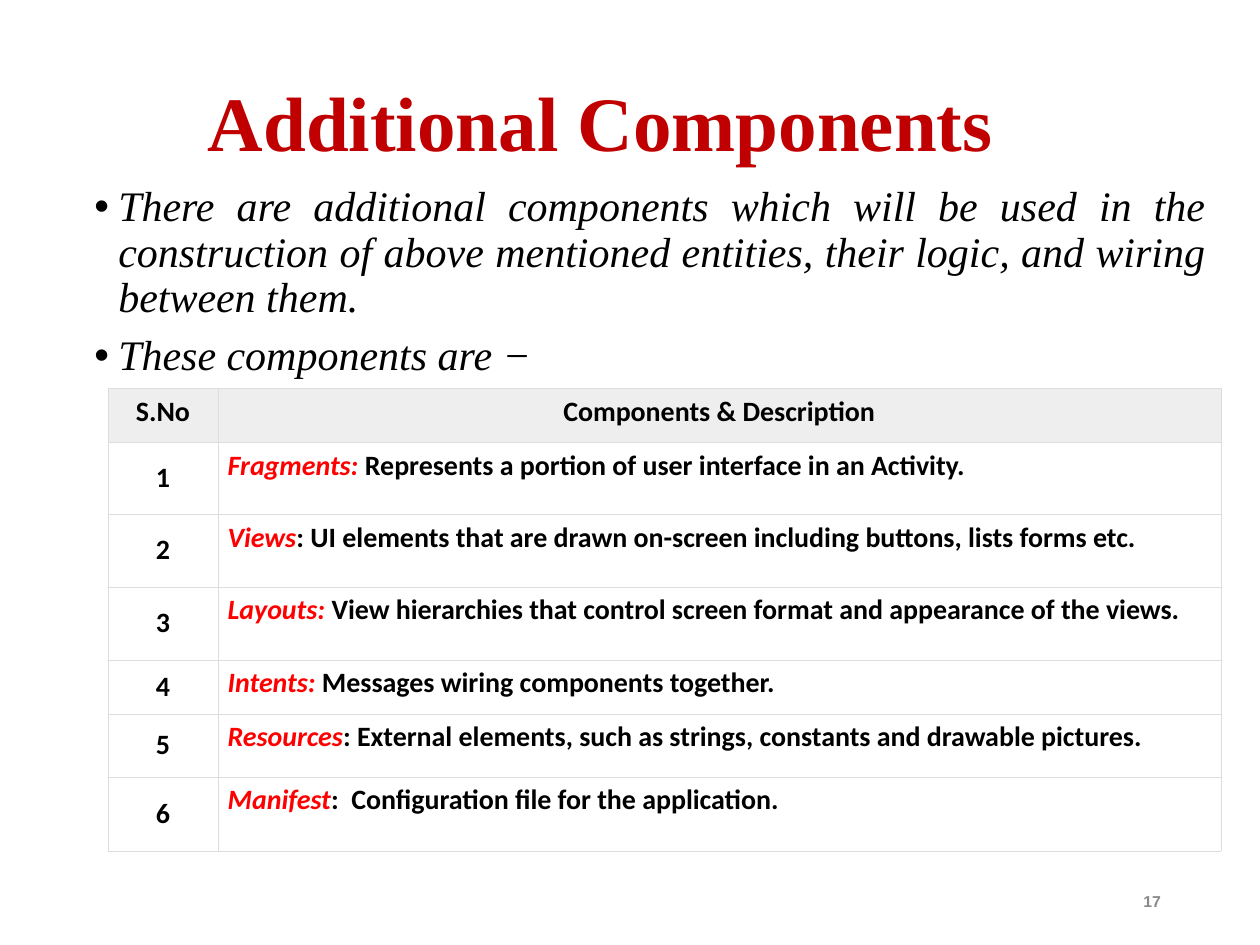
from lxml.etree import SubElement
from pptx import Presentation
from pptx.dml.color import RGBColor
from pptx.enum.text import MSO_ANCHOR as Anchor, MSO_AUTO_SIZE as AutoSize, PP_ALIGN as Align
from pptx.oxml.ns import qn
from pptx.util import Cm, Pt

TITLE = "Additional Components"
POINTS = [
    "There are additional components which will be used in the construction of above "
    "mentioned entities, their logic, and wiring between them.",
    "These components are −",
]
HEADINGS = ["S.No", "Components & Description"]
COMPONENTS = [
    ("Fragments: ", "Represents a portion of user interface in an Activity."),
    ("Views", ": UI elements that are drawn on-screen including buttons, lists forms etc."),
    ("Layouts: ", "View hierarchies that control screen format and appearance of the views."),
    ("Intents: ", "Messages wiring components together."),
    ("Resources", ": External elements, such as strings, constants and drawable pictures."),
    ("Manifest", ":  Configuration file for the application."),
]
COLUMN_WIDTHS = [2.21, 20.22]
ROW_HEIGHTS = [1.09, 1.45, 1.47, 1.47, 1.09, 1.27, 1.5]


def color(value):
    return RGBColor.from_string(value)


class SlideBuilder:
    """Holds the style and the current slide, and adds each kind of element."""

    serif, sans, number_font = "Times New Roman", "Calibri", "Arial"
    black, title_red, term_red = "000000", "C00000", "FF0000"
    grey, header_fill, rule = "898989", "EEEEEE", "DDDDDD"

    def __init__(self, slide):
        self.slide = slide

    def style(self, run, font, size, ink, bold=False, italic=False):
        run.font.name, run.font.size = font, Pt(size)
        run.font.bold, run.font.italic = bold, italic
        run.font.color.rgb = color(ink)

    def place(self, shape, left, top, width, height):
        shape.left, shape.top, shape.width, shape.height = map(Cm, (left, top, width, height))

    def title(self, text, *box):
        heading = self.slide.shapes.title
        self.place(heading, *box)
        frame = heading.text_frame
        frame.text = text
        frame.auto_size, frame.vertical_anchor = AutoSize.NONE, Anchor.MIDDLE
        paragraph = frame.paragraphs[0]
        paragraph.alignment, paragraph.line_spacing = Align.CENTER, 0.9
        self.style(paragraph.runs[0], self.serif, 44, self.title_red, bold=True)

    def bullets(self, points, *box):
        body = self.slide.placeholders[1]
        self.place(body, *box)
        frame = body.text_frame
        frame.text = "\n".join(points)
        frame.auto_size, frame.vertical_anchor = AutoSize.NONE, Anchor.TOP
        for paragraph in frame.paragraphs:
            paragraph.alignment, paragraph.line_spacing = Align.JUSTIFY, 0.9
            paragraph.space_before = Pt(7.5)
            self.style(paragraph.runs[0], self.serif, 24, self.black, italic=True)
            properties = paragraph._p.get_or_add_pPr()
            properties.set("marL", str(Cm(0.48)))
            properties.set("indent", str(-Cm(0.48)))
            SubElement(properties, qn("a:buFont"), typeface="Arial")
            SubElement(properties, qn("a:buChar"), char="•")

    def page_number(self, number, *box):
        frame = self.slide.shapes.add_textbox(*map(Cm, box)).text_frame
        frame.text = str(number)
        frame.word_wrap, frame.vertical_anchor = True, Anchor.MIDDLE
        paragraph = frame.paragraphs[0]
        paragraph.alignment = Align.RIGHT
        self.style(paragraph.runs[0], self.number_font, 9, self.grey, bold=True)

    def borders(self, cell):
        properties = cell._tc.get_or_add_tcPr()
        for index, side in enumerate(("lnL", "lnR", "lnT", "lnB")):
            line = properties.makeelement(qn(f"a:{side}"), w=str(Pt(0.34)))
            fill = SubElement(line, qn("a:solidFill"))
            SubElement(fill, qn("a:srgbClr"), val=self.rule)
            properties.insert(index, line)

    def cell(self, cell, pieces, align, anchor=Anchor.TOP, fill=None):
        cell.margin_left = cell.margin_right = Cm(0.2)
        cell.margin_top = cell.margin_bottom = Cm(0.13)
        cell.vertical_anchor = anchor
        if fill:
            cell.fill.solid()
            cell.fill.fore_color.rgb = color(fill)
        else:
            cell.fill.background()
        self.borders(cell)
        paragraph = cell.text_frame.paragraphs[0]
        paragraph.alignment = align
        for text, ink, italic in pieces:
            run = paragraph.add_run()
            run.text = text
            self.style(run, self.sans, 16, ink, bold=True, italic=italic)

    def component_table(self, left, top):
        box = map(Cm, (left, top, sum(COLUMN_WIDTHS), sum(ROW_HEIGHTS)))
        table = self.slide.shapes.add_table(len(ROW_HEIGHTS), len(COLUMN_WIDTHS), *box).table
        table.first_row = table.horz_banding = False
        for column, width in zip(table.columns, COLUMN_WIDTHS):
            column.width = Cm(width)
        for row, height in zip(table.rows, ROW_HEIGHTS):
            row.height = Cm(height)
        for index, heading in enumerate(HEADINGS):
            self.cell(table.cell(0, index), [(heading, self.black, False)],
                      Align.CENTER, fill=self.header_fill)
        for index, (term, description) in enumerate(COMPONENTS, 1):
            self.cell(table.cell(index, 0), [(str(index), self.black, False)],
                      Align.CENTER, Anchor.MIDDLE)
            self.cell(table.cell(index, 1),
                      [(term, self.term_red, True), (description, self.black, False)],
                      Align.JUSTIFY)


def main():
    deck = Presentation()
    deck.slide_width, deck.slide_height = Cm(25.4), Cm(19.05)
    builder = SlideBuilder(deck.slides.add_slide(deck.slide_layouts[1]))
    builder.title(TITLE, 0.58, 1.6, 23.06, 1.9)
    builder.bullets(POINTS, 1.65, 3.61, 22.91, 13.97)
    builder.page_number(17, 17.93, 17.65, 5.72, 1.02)
    builder.component_table(2.18, 7.82)
    deck.save("out.pptx")


if __name__ == "__main__":
    main()
